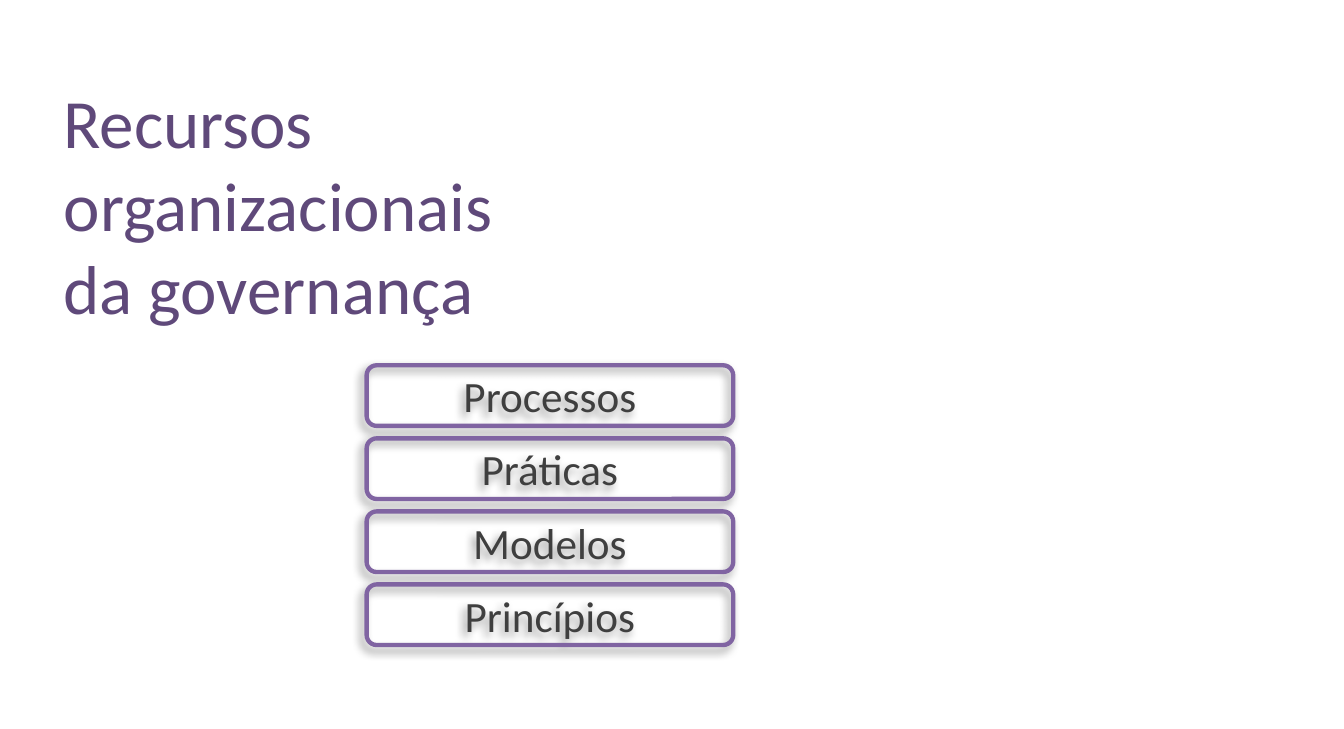
from lxml import etree
from pptx import Presentation
from pptx.dml.color import RGBColor
from pptx.enum.shapes import MSO_SHAPE
from pptx.enum.text import MSO_ANCHOR, MSO_AUTO_SIZE, PP_ALIGN
from pptx.oxml.ns import qn
from pptx.util import Inches, Pt

TITLE_PURPLE = RGBColor(0x5F, 0x49, 0x7A)
BORDER_PURPLE = RGBColor(0x80, 0x64, 0xA2)
DARK_GRAY = RGBColor(0x3F, 0x3F, 0x3F)
FONT = "Calibri"
RESOURCES = ["Processos", "Práticas", "Modelos", "Princípios"]


def format_text(text_frame, size, color, alignment):
    paragraph = text_frame.paragraphs[0]
    paragraph.alignment = alignment
    font = paragraph.runs[0].font
    font.name = FONT
    font.size = Pt(size)
    font.color.rgb = color


def add_shadow(shape):
    shape.shadow.inherit = False
    effects = shape._element.spPr.find(qn("a:effectLst"))
    shadow = etree.SubElement(
        effects, qn("a:outerShdw"), blurRad=str(Pt(4)), dist=str(Pt(3)),
        dir=str(135 * 60000), algn="tr", rotWithShape="0")
    color = etree.SubElement(shadow, qn("a:srgbClr"), val="000000")
    etree.SubElement(color, qn("a:alpha"), val="40000")


presentation = Presentation()
presentation.slide_width = Inches(8.65)
presentation.slide_height = Inches(4.69)
slide = presentation.slides.add_slide(presentation.slide_layouts[5])

title = slide.shapes.title
title.left, title.top = Inches(0.31), Inches(0.46)
title.width, title.height = Inches(3.31), Inches(1.72)
title.text_frame.text = "Recursos organizacionais da governança"
title.text_frame.word_wrap = True
title.text_frame.auto_size = MSO_AUTO_SIZE.NONE
title.text_frame.vertical_anchor = MSO_ANCHOR.TOP
format_text(title.text_frame, 32, TITLE_PURPLE, PP_ALIGN.LEFT)

for index, resource in enumerate(RESOURCES):
    box = slide.shapes.add_shape(
        MSO_SHAPE.ROUNDED_RECTANGLE, Inches(2.36), Inches(2.35 + 0.47 * index),
        Inches(2.36), Inches(0.39))
    box.fill.background()
    box.line.color.rgb = BORDER_PURPLE
    box.line.width = Pt(2)
    add_shadow(box)
    box.text_frame.text = resource
    box.text_frame.vertical_anchor = MSO_ANCHOR.MIDDLE
    format_text(box.text_frame, 20, DARK_GRAY, PP_ALIGN.CENTER)

presentation.save("out.pptx")
